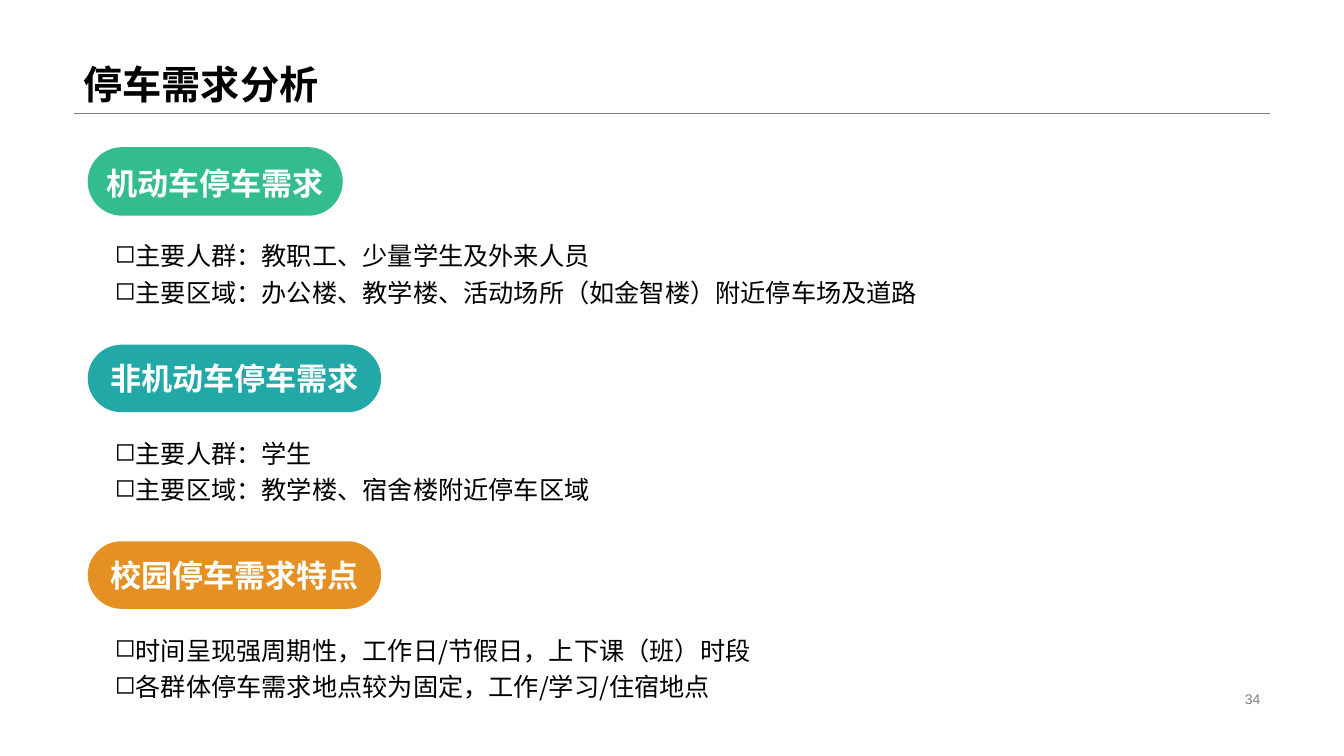
from lxml import etree
from pptx import Presentation
from pptx.dml.color import RGBColor
from pptx.enum.shapes import MSO_CONNECTOR, MSO_SHAPE
from pptx.enum.text import MSO_ANCHOR, PP_ALIGN
from pptx.oxml.ns import qn
from pptx.util import Inches, Pt

STRAIGHT = MSO_CONNECTOR.STRAIGHT
ROUNDED = MSO_SHAPE.ROUNDED_RECTANGLE
TOP, MIDDLE, BOTTOM = MSO_ANCHOR.TOP, MSO_ANCHOR.MIDDLE, MSO_ANCHOR.BOTTOM
LEFT, CENTER, RIGHT = PP_ALIGN.LEFT, PP_ALIGN.CENTER, PP_ALIGN.RIGHT

BLACK = RGBColor(0x00, 0x00, 0x00)
WHITE = RGBColor(0xFF, 0xFF, 0xFF)
GRAY = RGBColor(0x80, 0x80, 0x80)
GREEN = RGBColor(0x33, 0xBD, 0x8F)
TEAL = RGBColor(0x23, 0xA8, 0xA8)
ORANGE = RGBColor(0xE4, 0x90, 0x22)

LATIN_FONT = "Arial"
CHINESE_FONT = "Noto Sans CJK SC"

# heading, fill, (top, width, height), line spacing, points
SECTIONS = [
    ("机动车停车需求", GREEN, (1.46, 2.53, 0.68), 1.1,
     ["主要人群：教职工、少量学生及外来人员",
      "主要区域：办公楼、教学楼、活动场所（如金智楼）附近停车场及道路"]),
    ("非机动车停车需求", TEAL, (3.42, 2.91, 0.67), 1.0,
     ["主要人群：学生",
      "主要区域：教学楼、宿舍楼附近停车区域"]),
    ("校园停车需求特点", ORANGE, (5.37, 2.91, 0.67), 1.0,
     ["时间呈现强周期性，工作日/节假日，上下课（班）时段",
      "各群体停车需求地点较为固定，工作/学习/住宿地点"]),
]
POINTS_OFFSET = 0.82


class SlideBuilder:
    def __init__(self, slide):
        self.slide = slide

    def fill_paragraph(self, paragraph, text, size, color, bold=False,
                       font_name=LATIN_FONT, align=LEFT, spacing=1.0):
        paragraph.text = text
        paragraph.alignment = align
        paragraph.line_spacing = spacing
        font = paragraph.font
        font.size = Pt(size)
        font.bold = bold
        font.color.rgb = color
        font.name = font_name
        defaults = paragraph._p.pPr.find(qn("a:defRPr"))
        etree.SubElement(defaults, qn("a:ea"), typeface=CHINESE_FONT)

    def text_frame(self, left, top, width, height, anchor=TOP):
        box = self.slide.shapes.add_textbox(
            Inches(left), Inches(top), Inches(width), Inches(height))
        frame = box.text_frame
        frame.word_wrap = True
        frame.vertical_anchor = anchor
        return frame

    def label(self, text, left, top, width, height, anchor, size, color, **style):
        frame = self.text_frame(left, top, width, height, anchor)
        self.fill_paragraph(frame.paragraphs[0], text, size, color, **style)

    def rule(self, left, right, y):
        line = self.slide.shapes.add_connector(
            STRAIGHT, Inches(left), Inches(y), Inches(right), Inches(y))
        line.line.color.rgb = GRAY
        line.line.width = Pt(0.25)
        etree.SubElement(line._element.spPr, qn("a:effectLst"))

    def pill(self, text, color, left, top, width, height, spacing):
        shape = self.slide.shapes.add_shape(
            ROUNDED, Inches(left), Inches(top), Inches(width), Inches(height))
        shape.adjustments[0] = 0.5
        shape.shadow.inherit = False
        shape.fill.solid()
        shape.fill.fore_color.rgb = color
        shape.line.fill.background()
        frame = shape.text_frame
        frame.word_wrap = False
        frame.vertical_anchor = MIDDLE
        self.fill_paragraph(frame.paragraphs[0], text, 22.2, WHITE, bold=True,
                            align=CENTER, spacing=spacing)

    def bullets(self, points, left, top, width, height):
        frame = self.text_frame(left, top, width, height)
        for index, point in enumerate(points):
            paragraph = frame.add_paragraph() if index else frame.paragraphs[0]
            properties = paragraph._p.get_or_add_pPr()
            properties.set("marL", str(Inches(0.19)))
            properties.set("indent", str(-Inches(0.19)))
            etree.SubElement(properties, qn("a:buChar"), char="◻")
            self.fill_paragraph(paragraph, point, 18, BLACK,
                                font_name=CHINESE_FONT, spacing=1.2)


def main():
    presentation = Presentation()
    presentation.slide_width = Inches(13.33)
    presentation.slide_height = Inches(7.5)
    slide = presentation.slides.add_slide(presentation.slide_layouts[6])
    builder = SlideBuilder(slide)

    builder.rule(0.73, 12.6, 1.12)
    builder.label("停车需求分析", 0.73, 0, 11.87, 1.12, BOTTOM, 28, BLACK,
                  bold=True, spacing=0.9)
    builder.label("34", 9.42, 6.82, 3.18, 0.23, MIDDLE, 10, GRAY, align=RIGHT)

    for heading, color, (top, width, height), spacing, points in SECTIONS:
        builder.pill(heading, color, 0.87, top, width, height, spacing)
        builder.bullets(points, 1.04, top + POINTS_OFFSET, 8.38, 0.87)

    presentation.save("out.pptx")


if __name__ == "__main__":
    main()
